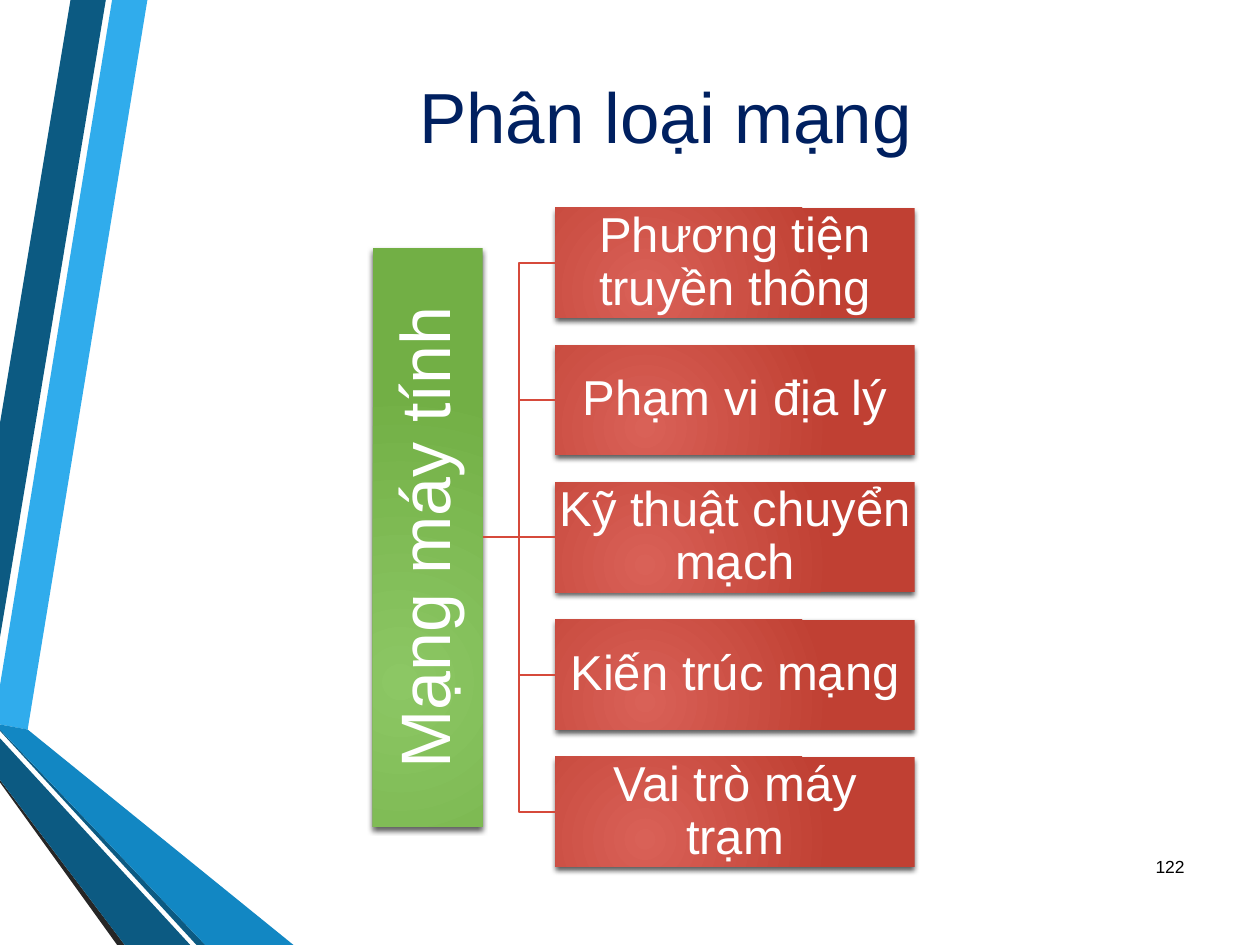
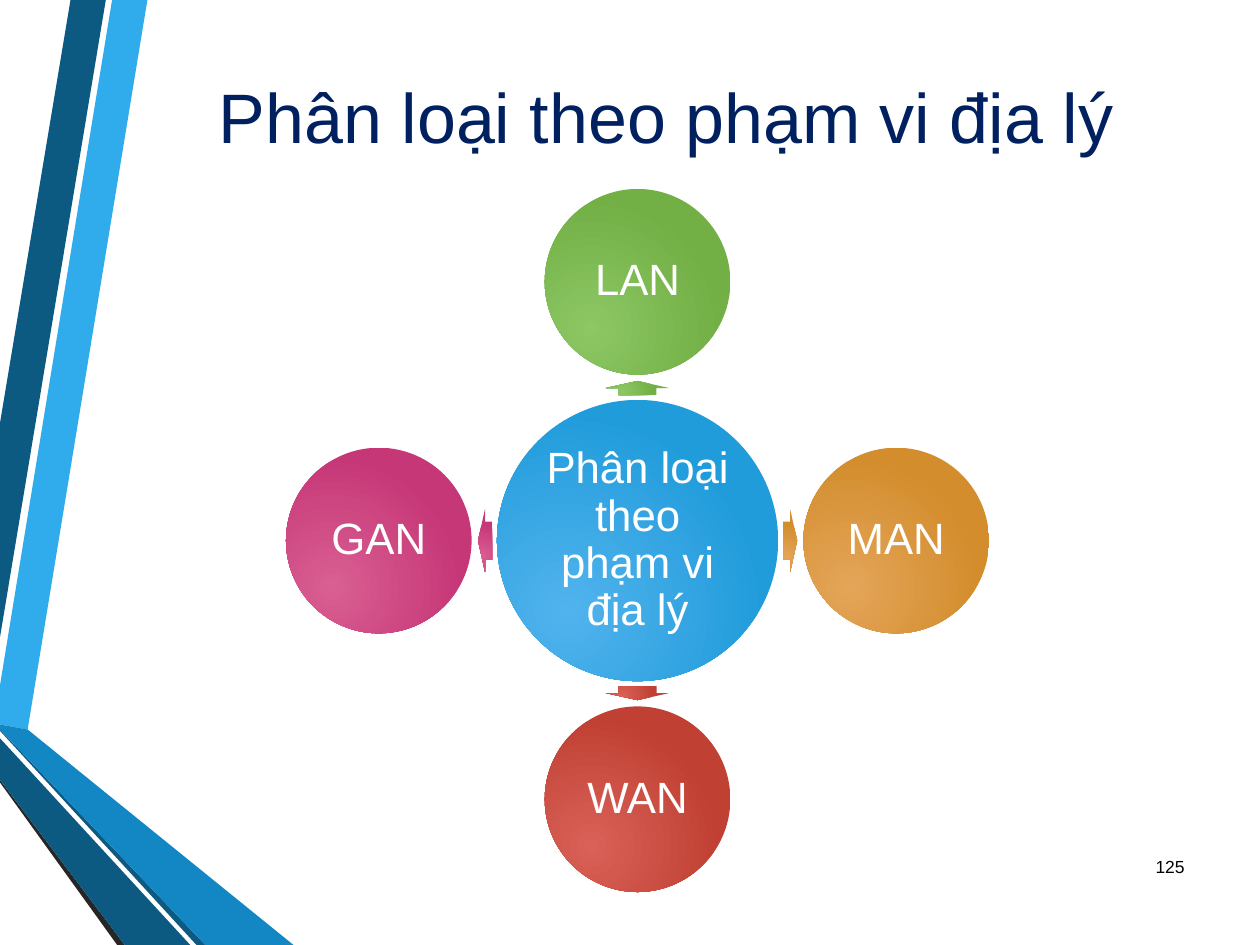
import math
from dataclasses import dataclass

import pptx
import pptx.dml.color
import pptx.enum.shapes
import pptx.enum.text
import pptx.oxml
import pptx.oxml.ns
import pptx.util
from lxml import etree

SHAPES = pptx.enum.shapes.MSO_SHAPE
CONNECTORS = pptx.enum.shapes.MSO_CONNECTOR
ALIGN = pptx.enum.text.PP_ALIGN
ANCHOR = pptx.enum.text.MSO_ANCHOR

CELL = pptx.util.Inches(0.1)
COLUMNS, ROWS = 100, 75

NAVY, WHITE, BLACK, LINE_RED = "002060", "FFFFFF", "000000", "D64A3B"
GREEN = ("8CC764", "72AF45")
RED = ("D96157", "C04033")
BLUE = ("51B3ED", "219CDB")
ORANGE = ("E4A559", "D38D2D")
PINK = ("D95F92", "C63777")

BANDS = [
    ("30ACEC", [(0, 54.4), (0, 57.5), (2.2, 57.9), (11.7, 0), (8.9, 0)]),
    ("0C5A82", [(8.4, 0), (5.6, 0), (0, 33.6), (0, 50.6)]),
    ("262626", [(0, 61.9), (0, 62.1), (9.3, 75), (9.9, 75)]),
    ("0C5A82", [(0, 57.9), (0, 58), (15.6, 75), (16.3, 75)]),
    ("1287C3", [(0, 57.9), (16.3, 75), (23.3, 75), (2.2, 57.9), (0, 57.5)]),
    ("0C5A82", [(0, 61.9), (9.9, 75), (15.1, 75), (0, 58.6)]),
]


@dataclass
class Box:
    """A rectangle measured in grid columns and rows."""

    left: float
    top: float
    width: float
    height: float

    @property
    def center(self):
        """Return the middle point."""
        return self.left + self.width / 2, self.top + self.height / 2

    def emu(self):
        """Return the four measures as lengths."""
        return [cells(value) for value in (self.left, self.top, self.width, self.height)]


TITLE_BOX = Box(10.7, 5, 84.3, 8.3)
NUMBER_BOX = Box(90.3, 66.8, 4.7, 4)


def cells(count):
    """Turn a count of grid cells into a length."""
    return pptx.util.Emu(round(count * CELL))


def color(value):
    """Turn a hex string into a colour."""
    return pptx.dml.color.RGBColor.from_string(value)


def centered(point, width, height):
    """Return the box of a given size around a point."""
    return Box(point[0] - width / 2, point[1] - height / 2, width, height)


def write(shape, text, size, tint=WHITE, align=ALIGN.CENTER, inset=None, spacing=None):
    """Write one formatted paragraph into a shape."""
    frame = shape.text_frame
    frame.word_wrap = True
    frame.vertical_anchor = ANCHOR.MIDDLE
    if inset is not None:
        frame.margin_left = frame.margin_right = pptx.util.Inches(inset)
        frame.margin_top = frame.margin_bottom = pptx.util.Inches(inset)
    para = frame.paragraphs[0]
    para.alignment = align
    if spacing:
        para.line_spacing = spacing
    span = para.add_run()
    span.text = text
    span.font.name = "Arial"
    span.font.size = pptx.util.Pt(size)
    span.font.color.rgb = color(tint)


def add_glossy(page, kind, box, tints, rotation=0):
    """Add a borderless shape with a circular gradient."""
    shape = page.shapes.add_shape(kind, *box.emu())
    shape.rotation = rotation
    shape.shadow.inherit = False
    shape.line.fill.background()
    shape.fill.gradient()
    for stop, tint in zip(shape.fill.gradient_stops, tints):
        stop.color.rgb = color(tint)
    gradient = shape._element.spPr.find(pptx.oxml.ns.qn("a:gradFill"))
    gradient.remove(gradient.find(pptx.oxml.ns.qn("a:lin")))
    focus = etree.SubElement(gradient, pptx.oxml.ns.qn("a:path"), path="circle")
    etree.SubElement(focus, pptx.oxml.ns.qn("a:fillToRect"),
                     l="50000", t="100000", r="100000", b="50000")
    return shape


def add_drop_shadow(shape):
    """Give a shape a soft black shadow below it."""
    effects = shape._element.spPr.find(pptx.oxml.ns.qn("a:effectLst"))
    effects.append(pptx.oxml.parse_xml(
        f'<a:outerShdw {pptx.oxml.ns.nsdecls("a")} blurRad="38100" dist="25400" '
        'dir="5400000" rotWithShape="0"><a:srgbClr val="000000">'
        '<a:alpha val="64000"/></a:srgbClr></a:outerShdw>'))


def add_link(page, kind, start, end):
    """Add a thin red connector between two points."""
    link = page.shapes.add_connector(kind, *map(cells, start + end))
    link.line.color.rgb = color(LINE_RED)
    link.line.width = pptx.util.Pt(1.25)
    etree.SubElement(link._element.spPr, pptx.oxml.ns.qn("a:effectLst"))
    return link


def move_bands_to_master(deck, page):
    """Draw the side bands and place them behind everything on the master."""
    tree = deck.slide_master.shapes._spTree
    for index, (tint, points) in enumerate(BANDS):
        corners = [tuple(map(cells, point)) for point in points]
        builder = page.shapes.build_freeform(*corners[0], scale=1.0)
        builder.add_line_segments(corners[1:], close=True)
        band = builder.convert_to_shape()
        band.shadow.inherit = False
        band.fill.solid()
        band.fill.fore_color.rgb = color(tint)
        band.line.fill.background()
        band._element.nvSpPr.cNvPr.set("id", str(100 + index))
        tree.insert(2 + index, band._element)


def add_page(deck, title, number, size):
    """Add a slide with its title and number."""
    page = deck.slides.add_slide(deck.slide_layouts[5])
    heading = page.shapes.title
    heading.left, heading.top, heading.width, heading.height = TITLE_BOX.emu()
    write(heading, title, size, tint=NAVY)
    label = page.shapes.add_textbox(*NUMBER_BOX.emu())
    write(label, number, 10, tint=BLACK, align=ALIGN.RIGHT)
    return page


def add_tree(page, box, root, branches):
    """Draw a vertical root joined to a column of branches."""
    row = box.height / (1.25 * len(branches) - 0.25)
    gap = 0.66 * row
    middle = box.center[1]
    trunk_box = centered((box.left + row / 2, middle), 5.27 * row, row)
    trunk = add_glossy(page, SHAPES.RECTANGLE, trunk_box, GREEN, rotation=270)
    add_drop_shadow(trunk)
    write(trunk, root, 40, inset=0.03, spacing=0.9)
    start = (box.left + row, middle)
    branch_left = start[0] + gap
    for index, name in enumerate(branches):
        branch_box = Box(branch_left, box.top + 1.25 * row * index,
                         box.left + box.width - branch_left, row)
        branch = add_glossy(page, SHAPES.RECTANGLE, branch_box, RED)
        add_drop_shadow(branch)
        write(branch, name, 28, inset=0.02, spacing=0.9)
        end = (branch_left, branch_box.center[1])
        if index == len(branches) // 2:
            link = add_link(page, CONNECTORS.STRAIGHT, start, end)
            link.begin_connect(trunk, 2)
            link.end_connect(branch, 1)
            link.begin_x, link.begin_y = map(cells, start)
        else:
            add_link(page, CONNECTORS.ELBOW, start, end)


def add_radial(page, box, hub, satellites):
    """Draw a hub with arrows to circles spread around it, clockwise from the top."""
    side = box.width
    disc = 0.264 * side

    def around(angle, radius):
        """Return the point at an angle and radius from the hub."""
        turn = math.radians(angle)
        return (box.center[0] + radius * math.cos(turn),
                box.center[1] + radius * math.sin(turn))

    center = add_glossy(page, SHAPES.OVAL, centered(box.center, 0.4 * side, 0.4 * side), BLUE)
    write(center, hub, 25, inset=0.03, spacing=0.9)
    for index, (name, tints) in enumerate(satellites):
        angle = 360 / len(satellites) * index - 90
        arrow_box = centered(around(angle, 0.217 * side), 0.02 * side, 0.09 * side)
        arrow = add_glossy(page, SHAPES.RIGHT_ARROW, arrow_box, tints, rotation=angle % 360)
        arrow.adjustments[0], arrow.adjustments[1] = 0.6, 0.5
        circle_box = centered(around(angle, (side - disc) / 2), disc, disc)
        circle = add_glossy(page, SHAPES.OVAL, circle_box, tints)
        write(circle, name, 25, inset=0.03, spacing=0.9)


def main():
    """Build and save the deck."""
    deck = pptx.Presentation()
    deck.slide_width, deck.slide_height = cells(COLUMNS), cells(ROWS)

    kinds = add_page(deck, "Phân loại mạng", "122", 40.5)
    move_bands_to_master(deck, kinds)
    add_tree(kinds, Box(29.6, 16.5, 43, 52.3), "Mạng máy tính", [
        "Phương tiện truyền thông", "Phạm vi địa lý", "Kỹ thuật chuyển mạch",
        "Kiến trúc mạng", "Vai trò máy trạm"])

    scope = "Phân loại theo phạm vi địa lý"
    areas = add_page(deck, scope, "125", 40)
    add_radial(areas, Box(22.7, 15, 55.8, 55.8), scope, [
        ("LAN", GREEN), ("MAN", ORANGE), ("WAN", RED), ("GAN", PINK)])

    deck.save("out.pptx")


if __name__ == "__main__":
    main()
